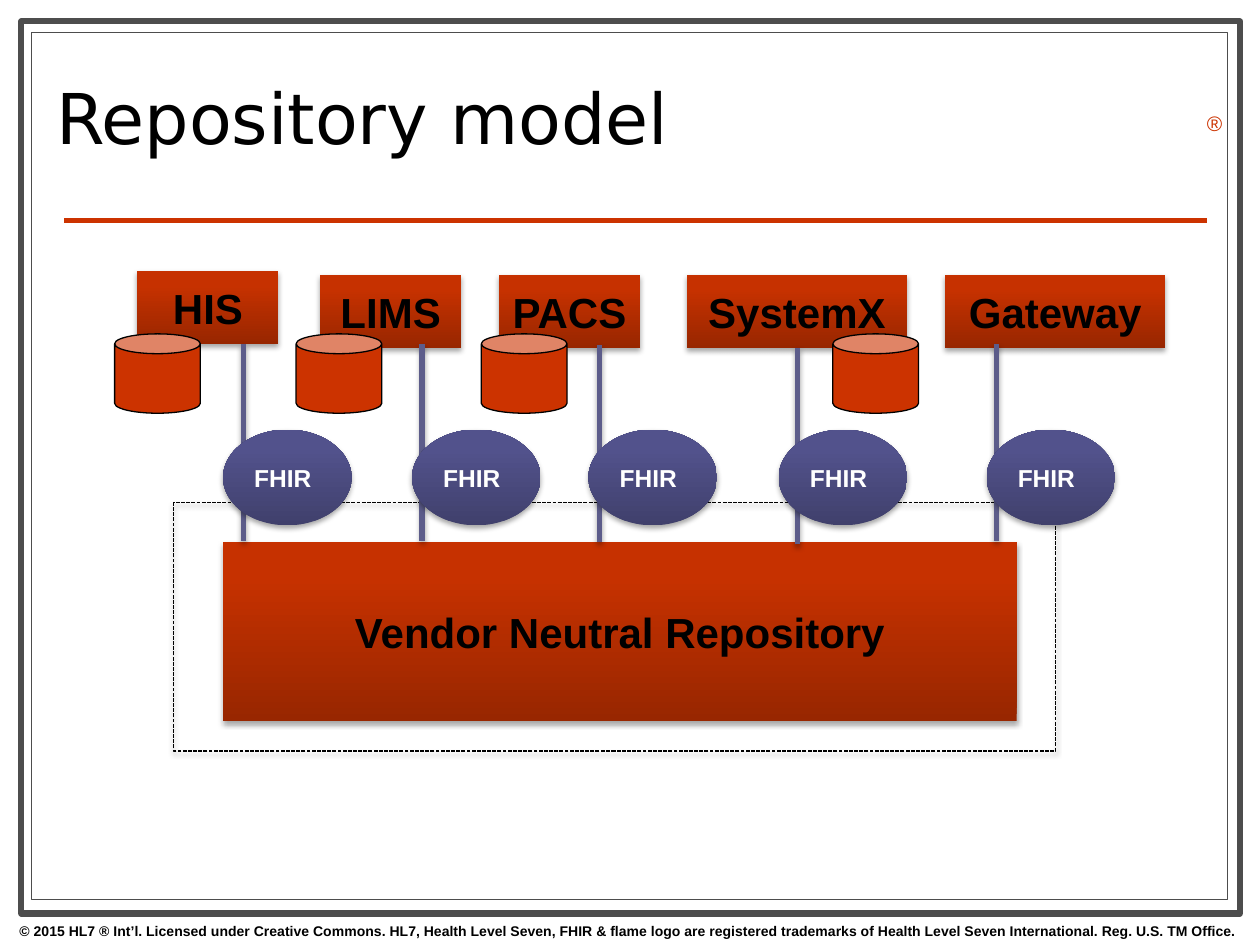
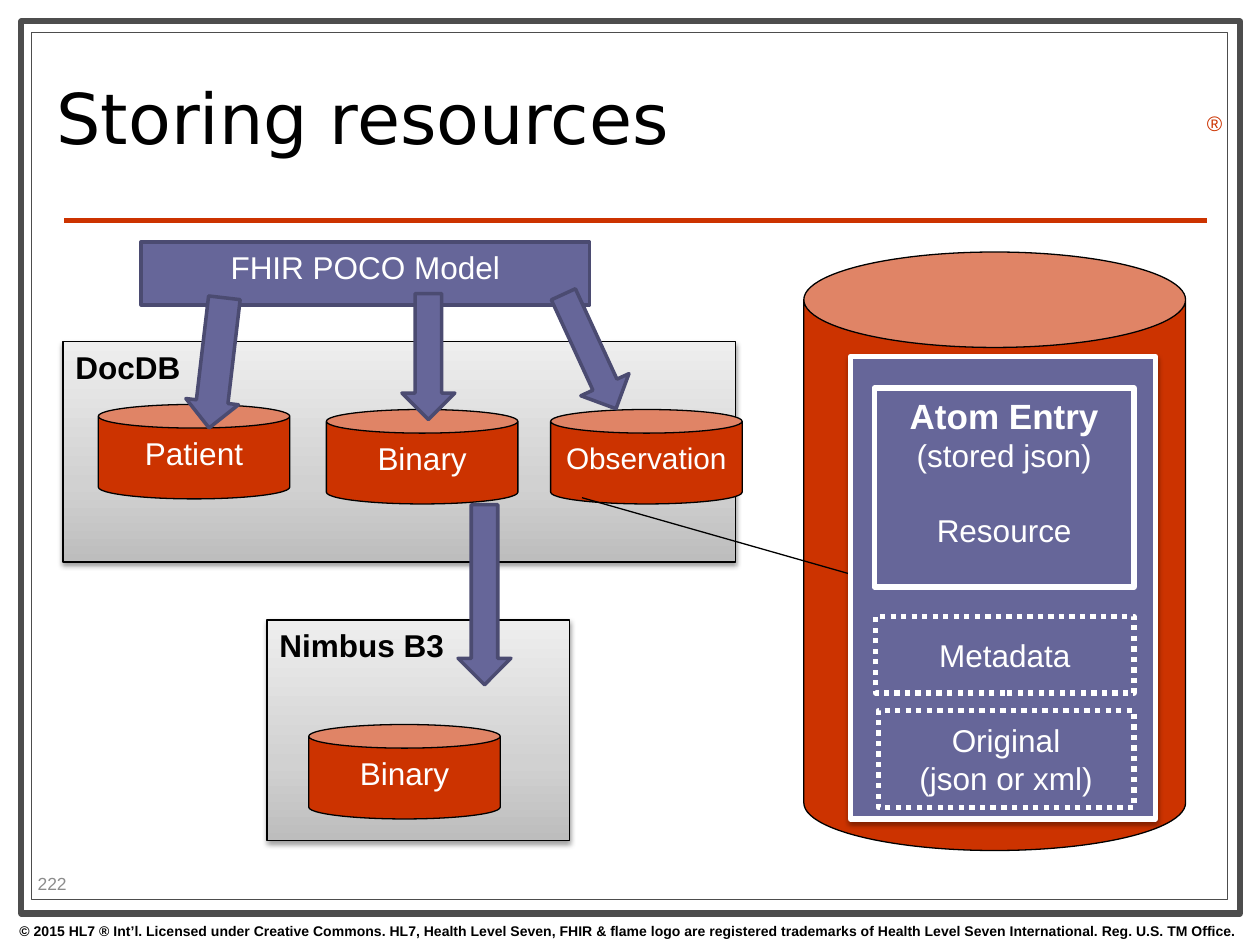
"""Build two slides on a repository model and on storing resources."""

from copy import deepcopy
from dataclasses import dataclass, replace
from typing import NamedTuple, Optional

from lxml.etree import SubElement
from pptx import Presentation
from pptx.dml.color import RGBColor
from pptx.enum.dml import MSO_LINE
from pptx.enum.shapes import MSO_CONNECTOR, MSO_SHAPE as Preset
from pptx.enum.text import MSO_ANCHOR as Anchor, PP_ALIGN as Align
from pptx.oxml.ns import qn
from pptx.util import Emu, Inches, Pt

COLUMNS, ROWS = 100, 75
SLIDE_WIDTH, SLIDE_HEIGHT = Inches(10), Inches(7.5)

COLORS = {
    "white": "FFFFFF",
    "black": "000000",
    "frame": "4D4D4D",
    "red": "CC3300",
    "violet": "666699",
    "violet edge": "4B4B71",
    "link": "5C5C8A",
    "number": "8C8C8C",
}
GRADIENTS = {
    "red": ((0, "982600"), (0.8, "C63100"), (1, "C73200")),
    "violet": ((0, "40406C"), (0.8, "52528C"), (1, "52528E")),
    "grey": ((0, "BDBDBD"), (0.35, "D1D1D1"), (1, "EEEEEE")),
}
COPYRIGHT = (
    "© 2015 HL7 ® Int’l. Licensed under Creative Commons. HL7, Health Level Seven, "
    "FHIR & flame logo are registered trademarks of Health Level Seven International. "
    "Reg. U.S. TM Office."
)


class Box(NamedTuple):
    left: float
    top: float
    width: float
    height: float


class Shadow(NamedTuple):
    opacity: int
    distance: float


@dataclass(frozen=True)
class TextStyle:
    size: float
    color: str = "white"
    bold: bool = False
    align: Align = Align.CENTER
    anchor: Anchor = Anchor.TOP
    font: str = "Arial"
    line_spacing: Optional[float] = None
    space_before: float = 0


@dataclass(frozen=True)
class Look:
    preset: Preset = Preset.RECTANGLE
    fill: Optional[str] = None
    gradient: Optional[str] = None
    line: Optional[str] = None
    line_width: float = 0.75
    dash: Optional[MSO_LINE] = None
    shadow: Optional[Shadow] = None


class System(NamedTuple):
    name: str
    box: Box
    link_left: float
    link_top: float
    link_bottom: float
    node_left: float
    store_left: Optional[float] = None


class Arrow(NamedTuple):
    box: Box
    rotation: float
    shaft: float = 0.5


STRONG_SHADOW, SOFT_SHADOW = Shadow(35, 1.8), Shadow(38, 1.6)

SYSTEM_LOOK = Look(gradient="red", shadow=STRONG_SHADOW)
NODE_LOOK = Look(Preset.OVAL, gradient="violet", shadow=STRONG_SHADOW)
STORE_LOOK = Look(Preset.CAN, fill="red", line="black")
BOUNDARY_LOOK = Look(line="black", dash=MSO_LINE.SQUARE_DOT, shadow=SOFT_SHADOW)
DATABASE_LOOK = Look(gradient="grey", line="black", shadow=SOFT_SHADOW)
MODEL_LOOK = Look(fill="violet", line="violet edge", line_width=2)
ARROW_LOOK = replace(MODEL_LOOK, preset=Preset.RIGHT_ARROW)
ENTRY_LOOK = Look(line="white", line_width=3)
OPTIONAL_LOOK = replace(ENTRY_LOOK, dash=MSO_LINE.ROUND_DOT)
RECORD_LOOK = replace(ENTRY_LOOK, fill="violet", shadow=SOFT_SHADOW)

TITLE = TextStyle(40, "black", align=Align.LEFT, anchor=Anchor.MIDDLE,
                  font="DejaVu Sans", line_spacing=0.8)
FOOTER = TextStyle(8, "black", bold=True)
TRADEMARK = TextStyle(12, "red", align=Align.LEFT)
PAGE_NUMBER = TextStyle(10, "number", align=Align.LEFT, anchor=Anchor.MIDDLE)
SYSTEM_TEXT = TextStyle(24, "black", bold=True, anchor=Anchor.MIDDLE)
NODE_TEXT = TextStyle(14, bold=True, align=Align.LEFT, anchor=Anchor.MIDDLE)
DATABASE_TEXT = TextStyle(18, "black", bold=True, align=Align.LEFT)
LABEL = TextStyle(18)
CENTERED_LABEL = replace(LABEL, anchor=Anchor.MIDDLE)

SYSTEMS = (
    System("HIS", Box(10.9, 21.5, 11.2, 5.8), 19.3, 27.3, 42.9, 17.7, 9.1),
    System("LIMS", Box(25.4, 21.8, 11.2, 5.8), 33.5, 27.3, 42.9, 32.7, 23.5),
    System("PACS", Box(39.6, 21.8, 11.2, 5.8), 47.6, 27.4, 43, 46.7, 38.2),
    System("SystemX", Box(54.5, 21.8, 17.5, 5.8), 63.3, 27.6, 43.2, 61.8, 66.1),
    System("Gateway", Box(75, 21.8, 17.5, 5.8), 79.1, 27.3, 42.9, 78.3),
)
COLLECTIONS = (
    ("Patient", 7.8, 32.1, 18),
    ("Observation", 43.7, 32.5, 17),
    ("Binary", 25.9, 32.5, 18),
)
MODEL_ARROWS = (
    Arrow(Box(29, 26.2, 10, 4.2), 90),
    Arrow(Box(41.8, 25.8, 10, 4.2), 65.3),
    Arrow(Box(12, 26.7, 10.4, 4.2), 96.7, 0.6),
)
BINARY_ARROW = Arrow(Box(31.3, 45.1, 14.3, 4.2), 90)


def across(columns: float) -> Emu:
    """Turn grid columns into a length."""
    return Emu(round(SLIDE_WIDTH * columns / COLUMNS))


def down(rows: float) -> Emu:
    """Turn grid rows into a length."""
    return Emu(round(SLIDE_HEIGHT * rows / ROWS))


def place(box: Box) -> tuple:
    """Turn a grid box into left, top, width and height."""
    return across(box.left), down(box.top), across(box.width), down(box.height)


def rgb(name: str) -> RGBColor:
    """Look up a named colour."""
    return RGBColor.from_string(COLORS[name])


def cast_shadow(effects, shadow: Shadow) -> None:
    """Add a shadow straight below to an effect list."""
    outer = SubElement(effects, qn("a:outerShdw"), blurRad=str(Pt(3.1)),
                       dist=str(Pt(shadow.distance)), dir="5400000", rotWithShape="0")
    color = SubElement(outer, qn("a:srgbClr"), val=COLORS["black"])
    SubElement(color, qn("a:alpha"), val=str(shadow.opacity * 1000))


def paint_gradient(shape, name: str) -> None:
    """Fill a shape with a three-stop gradient running upwards."""
    shape.fill.gradient()
    shape.fill.gradient_angle = 90
    stop_list = shape.element.spPr.find(".//" + qn("a:gsLst"))
    stop_list.insert(1, deepcopy(stop_list[0]))
    for stop, (position, color) in zip(shape.fill.gradient_stops, GRADIENTS[name]):
        stop.position = position
        stop.color.rgb = RGBColor.from_string(color)


def write(shape, lines: tuple) -> None:
    """Write pairs of text and style as the paragraphs of a shape."""
    frame = shape.text_frame
    frame.word_wrap = True
    frame.vertical_anchor = lines[0][1].anchor
    for index, (text, style) in enumerate(lines):
        paragraph = frame.add_paragraph() if index else frame.paragraphs[0]
        paragraph.text = text
        paragraph.alignment = style.align
        if style.line_spacing:
            paragraph.line_spacing = style.line_spacing
        if style.space_before:
            paragraph.space_before = Pt(style.space_before)
        font = paragraph.font
        font.name, font.size, font.bold = style.font, Pt(style.size), style.bold
        font.color.rgb = rgb(style.color)


def add_text(slide, box: Box, text: str, style: TextStyle) -> None:
    """Add a text box with one paragraph."""
    write(slide.shapes.add_textbox(*place(box)), ((text, style),))


def add_block(shapes, box: Box, look: Look, *lines: tuple):
    """Add a preset shape with its look and text."""
    shape = shapes.add_shape(look.preset, *place(box))
    if look.gradient:
        paint_gradient(shape, look.gradient)
    elif look.fill:
        shape.fill.solid()
        shape.fill.fore_color.rgb = rgb(look.fill)
    else:
        shape.fill.background()
    if look.line:
        shape.line.color.rgb = rgb(look.line)
        shape.line.width = Pt(look.line_width)
        if look.dash:
            shape.line.dash_style = look.dash
    else:
        shape.line.fill.background()
    shape.shadow.inherit = False
    if look.shadow:
        cast_shadow(shape.element.spPr.find(qn("a:effectLst")), look.shadow)
    if lines:
        write(shape, lines)
    return shape


def add_line(slide, start: tuple, end: tuple, color: str, width: float,
             shadow: Optional[Shadow] = None) -> None:
    """Add a straight line between two grid points."""
    line = slide.shapes.add_connector(MSO_CONNECTOR.STRAIGHT, across(start[0]),
                                      down(start[1]), across(end[0]), down(end[1]))
    line.line.color.rgb = rgb(color)
    line.line.width = Pt(width)
    effects = SubElement(line.element.spPr, qn("a:effectLst"))
    if shadow:
        cast_shadow(effects, shadow)


def add_arrow(slide, arrow: Arrow) -> None:
    """Add a rotated block arrow."""
    shape = add_block(slide.shapes, arrow.box, ARROW_LOOK)
    shape.rotation = arrow.rotation
    shape.adjustments[0] = arrow.shaft


def add_framed_slide(presentation, title: str):
    """Add a blank slide with the shared frame, rule, footer and title."""
    slide = presentation.slides.add_slide(presentation.slide_layouts[6])
    outer = Look(fill="white", line="frame", line_width=3.5)
    add_block(slide.shapes, Box(1.7, 1.7, 96.7, 70.8), outer)
    add_block(slide.shapes, Box(2.5, 2.6, 94.9, 68.8), replace(outer, line_width=0.75))
    add_line(slide, (5.1, 17.5), (95.8, 17.5), "red", 3)
    add_text(slide, Box(-0.1, 72.7, 100, 2.3), COPYRIGHT, FOOTER)
    add_text(slide, Box(94.8, 8.3, 3.1, 3), "®", TRADEMARK)
    add_text(slide, Box(3.5, 3.6, 71.7, 12.6), title, TITLE)
    return slide


def build_repository_model(presentation) -> None:
    """Draw the systems linked to one repository."""
    slide = add_framed_slide(presentation, "Repository model")
    shapes = slide.shapes
    add_block(shapes, Box(17.7, 43, 63, 14.2), SYSTEM_LOOK,
              ("Vendor Neutral Repository", SYSTEM_TEXT))
    add_block(shapes, Box(13.8, 39.9, 70, 19.7), BOUNDARY_LOOK)
    for system in SYSTEMS:
        add_block(shapes, system.box, SYSTEM_LOOK, (system.name, SYSTEM_TEXT))
        if system.store_left is not None:
            add_block(shapes, Box(system.store_left, 26.5, 6.8, 6.3), STORE_LOOK)
        add_line(slide, (system.link_left, system.link_bottom),
                 (system.link_left, system.link_top), "link", 3, STRONG_SHADOW)
        add_block(shapes, Box(system.node_left, 34.1, 10.2, 7.6), NODE_LOOK,
                  ("FHIR", NODE_TEXT))


def build_storing_resources(presentation) -> None:
    """Draw how model resources reach the databases and one stored record."""
    slide = add_framed_slide(presentation, "Storing resources")
    shapes = slide.shapes
    add_text(slide, Box(2, 68.9, 7.9, 2.4), "222", PAGE_NUMBER)
    add_block(shapes, Box(21.2, 49.2, 24, 17.5), DATABASE_LOOK, ("Nimbus B3", DATABASE_TEXT))
    add_block(shapes, Box(11.2, 19.2, 35.6, 5), MODEL_LOOK, ("FHIR POCO Model", LABEL))
    add_block(shapes, Box(5, 27.1, 53.4, 17.5), DATABASE_LOOK, ("DocDB", DATABASE_TEXT))
    for name, left, top, size in COLLECTIONS + (("Binary", 24.5, 57.5, 18),):
        add_block(shapes, Box(left, top, 15.2, 7.5), STORE_LOOK,
                  (name, replace(LABEL, size=size)))
    for arrow in MODEL_ARROWS + (BINARY_ARROW,):
        add_arrow(slide, arrow)
    add_block(shapes, Box(63.8, 20, 30.3, 47.5), STORE_LOOK)
    add_line(slide, (46.2, 39.5), (77.1, 48.3), "black", 0.75)

    record = shapes.add_group_shape().shapes
    add_block(record, Box(67.5, 28.3, 24.2, 36.7), RECORD_LOOK)
    add_block(record, Box(69.7, 56.4, 20.3, 7.7), OPTIONAL_LOOK,
              ("Original", CENTERED_LABEL), ("(json or xml)", CENTERED_LABEL))
    add_block(record, Box(69.5, 48.9, 20.5, 6.1), OPTIONAL_LOOK, ("Metadata", CENTERED_LABEL))
    add_block(record, Box(69.4, 30.8, 20.6, 15.8), ENTRY_LOOK,
              ("Atom Entry", TextStyle(20, bold=True)), ("(stored json)", LABEL),
              ("Resource", replace(LABEL, space_before=21)))


def main() -> None:
    """Build and save the presentation."""
    presentation = Presentation()
    presentation.slide_width, presentation.slide_height = SLIDE_WIDTH, SLIDE_HEIGHT
    build_repository_model(presentation)
    build_storing_resources(presentation)
    presentation.save("out.pptx")


if __name__ == "__main__":
    main()
